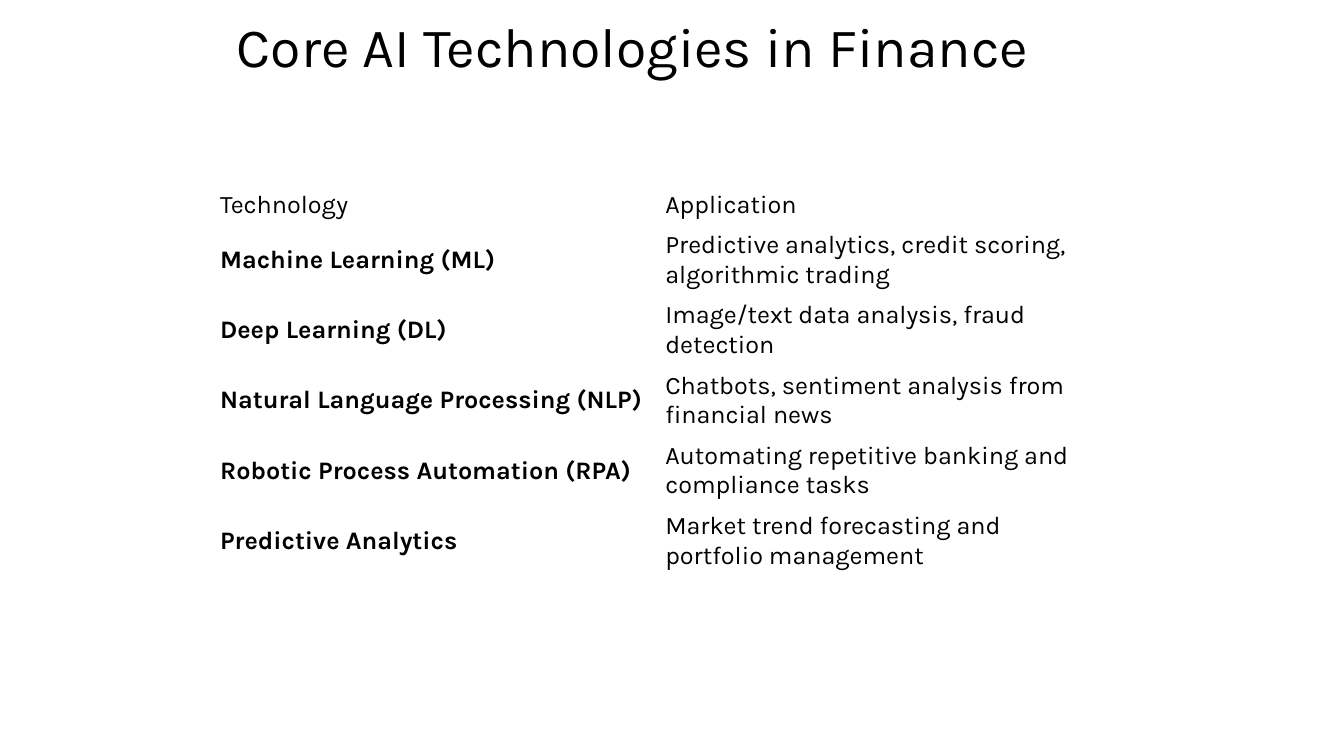
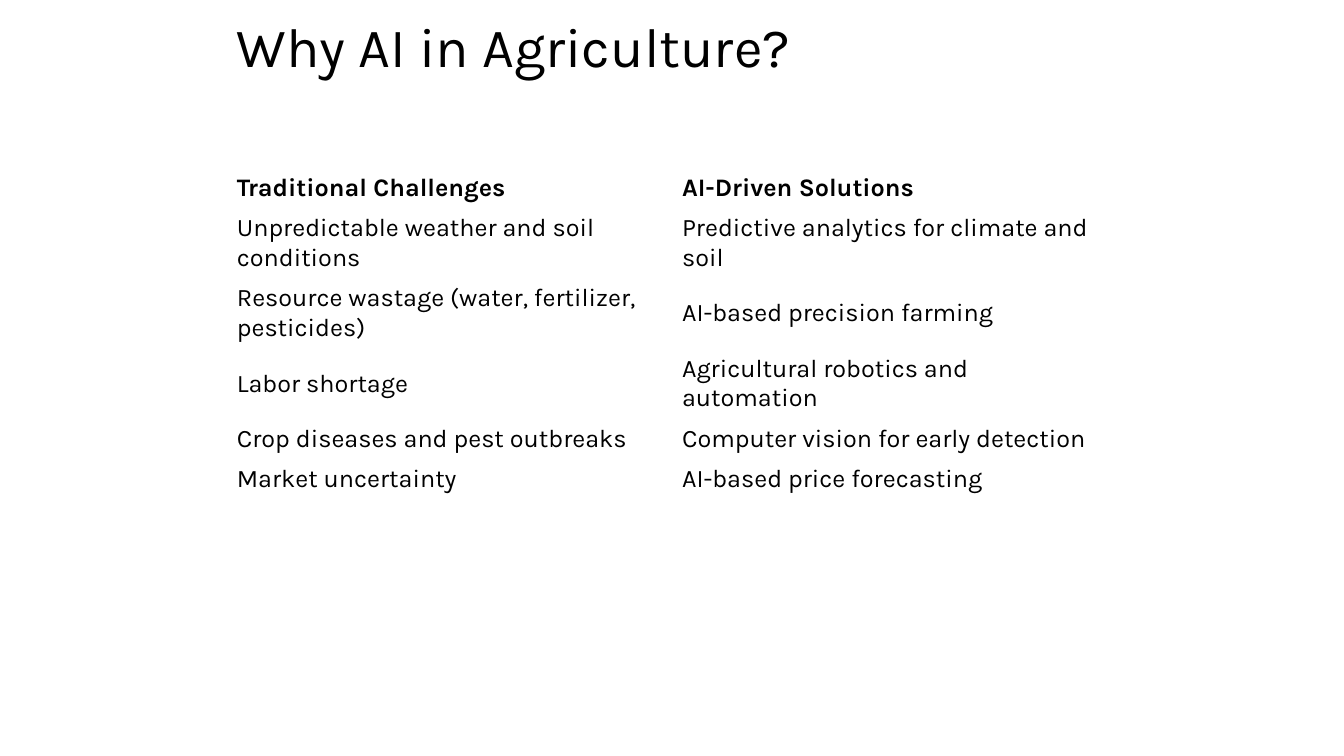
import dataclasses

import pptx
import pptx.dml.color
import pptx.enum.text
import pptx.util

PX = 9525


@dataclasses.dataclass(frozen=True)
class Theme:
    font: str = "Karla"
    ink: str = "000000"
    page: str = "FFFFFF"
    head: float = 39.6
    body: float = 18


THEME = Theme()
MID = pptx.enum.text.MSO_ANCHOR.MIDDLE
LEFT = pptx.enum.text.PP_ALIGN.LEFT
WRAP = 35
SHORT, TALL = 38, 67

TECH = (
    ("Technology", "Application"),
    ("Machine Learning (ML)", "Predictive analytics, credit scoring, algorithmic trading"),
    ("Deep Learning (DL)", "Image/text data analysis, fraud detection"),
    ("Natural Language Processing (NLP)", "Chatbots, sentiment analysis from financial news"),
    ("Robotic Process Automation (RPA)", "Automating repetitive banking and compliance tasks"),
    ("Predictive Analytics", "Market trend forecasting and portfolio management"),
)
FARM = (
    ("Traditional Challenges", "AI-Driven Solutions"),
    ("Unpredictable weather and soil conditions", "Predictive analytics for climate and soil"),
    ("Resource wastage (water, fertilizer, pesticides)", "AI-based precision farming"),
    ("Labor shortage", "Agricultural robotics and automation"),
    ("Crop diseases and pest outbreaks", "Computer vision for early detection"),
    ("Market uncertainty", "AI-based price forecasting"),
)


def px(num):
    return pptx.util.Emu(num * PX)


def apply(item, form):
    for key, val in form.items():
        setattr(item, key, val)


def style(para, size, bold=False):
    apply(para.font, {"name": THEME.font, "size": pptx.util.Pt(size), "bold": bold})
    para.font.color.rgb = pptx.dml.color.RGBColor.from_string(THEME.ink)
    para.alignment = LEFT


def add_page(deck, text):
    page = deck.slides.add_slide(deck.slide_layouts[5])
    fill = page.background.fill
    fill.solid()
    fill.fore_color.rgb = pptx.dml.color.RGBColor.from_string(THEME.page)
    title = page.shapes.title
    apply(title, {"left": px(216), "top": px(15), "width": px(848), "height": px(64)})
    frame = title.text_frame
    apply(frame, {
        "text": text,
        "word_wrap": True,
        "auto_size": pptx.enum.text.MSO_AUTO_SIZE.NONE,
        "vertical_anchor": MID,
    })
    para = frame.paragraphs[0]
    para.line_spacing = 0.9
    style(para, THEME.head)
    return page


def add_grid(page, left, top, rows, strong):
    highs = [TALL if max(map(len, row)) > WRAP else SHORT for row in rows]
    cols = len(rows[0])
    frame = page.shapes.add_table(
        len(rows), cols, px(left), px(top), px(848), px(sum(highs)))
    grid = frame.table
    apply(grid, {"first_row": False, "horz_banding": False})
    for r, (row, high) in enumerate(zip(rows, highs)):
        grid.rows[r].height = px(high)
        for c, text in enumerate(row):
            cell = grid.cell(r, c)
            apply(cell, {"text": text, "vertical_anchor": MID})
            cell.fill.background()
            style(cell.text_frame.paragraphs[0], THEME.body, strong(r, c))


def main():
    deck = pptx.Presentation()
    apply(deck, {"slide_width": px(1280), "slide_height": px(720)})
    page = add_page(deck, "Core AI Technologies in Finance")
    add_grid(page, 200, 176, TECH, lambda r, c: r > 0 and c == 0)
    page = add_page(deck, "Why AI in Agriculture?")
    add_grid(page, 216, 160, FARM, lambda r, c: r == 0)
    deck.save("out.pptx")


if __name__ == "__main__":
    main()
